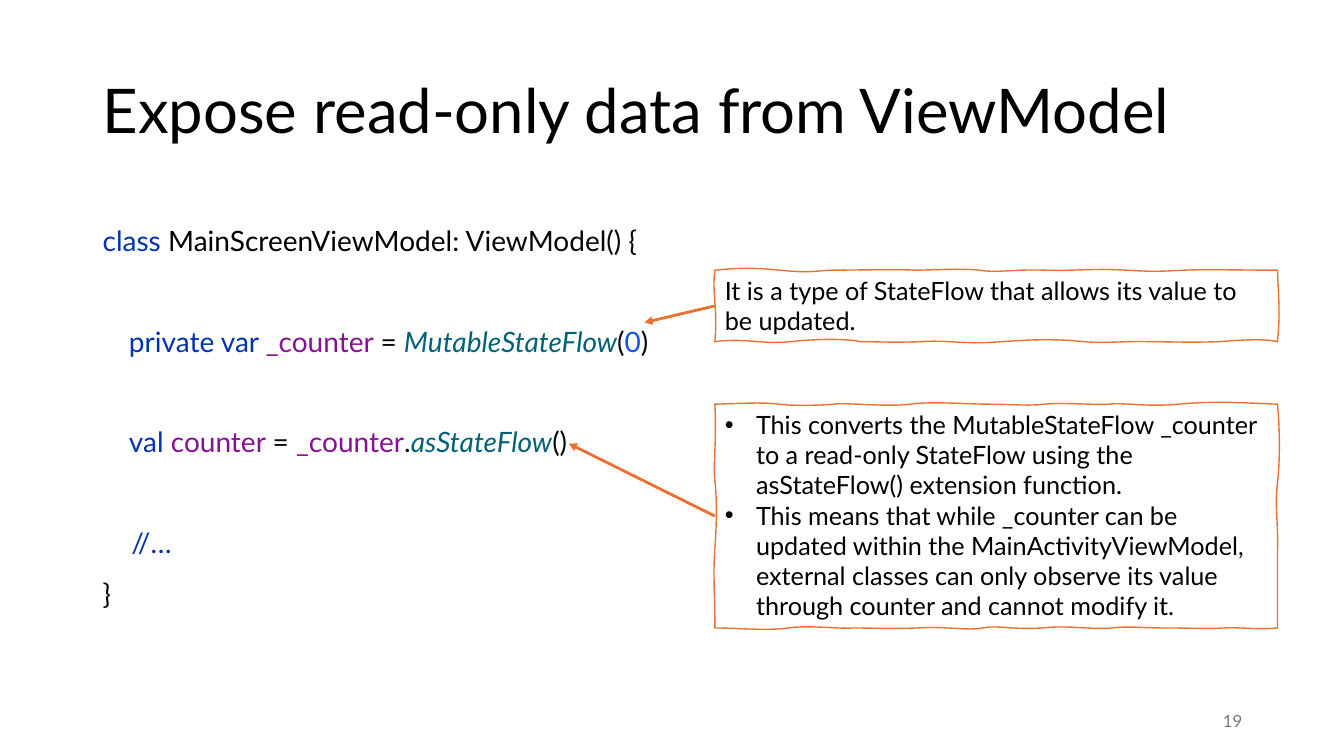
from lxml import etree
from pptx import Presentation
from pptx.dml.color import RGBColor
from pptx.enum.shapes import MSO_CONNECTOR
from pptx.enum.text import MSO_ANCHOR, PP_ALIGN
from pptx.oxml.ns import qn
from pptx.util import Inches, Pt

STRAIGHT = MSO_CONNECTOR.STRAIGHT
TOP, MIDDLE = MSO_ANCHOR.TOP, MSO_ANCHOR.MIDDLE
LEFT, RIGHT = PP_ALIGN.LEFT, PP_ALIGN.RIGHT
FONT = "Lato"
BLACK, ORANGE, GREY = "000000", "E97132", "797979"
KEYWORD, PLAIN, FIELD, CALL = "0033B3", "080808", "871094", "00627A"
NUMBER, INDENT = "1750EB", "8C8C8C"
ITALIC = (CALL, INDENT)
CODE_SIZE, CODE_SPACING = 20, 1.5
CODE_LINE = CODE_SIZE * 1.2 * CODE_SPACING

# Each line: whether an empty line precedes it, then its coloured tokens
CODE = [
    (False, [("class ", KEYWORD), ("MainScreenViewModel", BLACK), (": ViewModel() {", PLAIN)]),
    (True, [("    ", INDENT), ("private var ", KEYWORD), ("_counter ", FIELD), ("= ", PLAIN),
            ("MutableStateFlow", CALL), ("(", PLAIN), ("0", NUMBER), (")", PLAIN)]),
    (True, [("    ", INDENT), ("val ", KEYWORD), ("counter ", FIELD), ("= ", PLAIN),
            ("_counter", FIELD), (".", PLAIN), ("asStateFlow", CALL), ("()", PLAIN)]),
    (True, [("    ", PLAIN), ("//…", KEYWORD)]),
    (False, [("}", PLAIN)]),
]

# Hand-drawn edges in the order top, right, bottom, left. Each curve holds two
# control points (distance along the edge, offset from it) and its end distance.
SHORT_EDGES = [
    [(.23, -.02, .33, -.03, .64), (.96, .03, .94, .01, 1.17), (1.4, 0, 1.82, -.01, 1.98),
     (2.15, 0, 2.44, -.02, 2.62), (2.8, .03, 2.95, -.01, 3.27), (3.58, .01, 3.73, -.02, 4.07),
     (4.42, .02, 4.41, .01, 4.66), (4.91, -.01, 5.14, 0, 5.58)],
    [(.28, .01, .42, .03, .71)],
    [(5.45, -.03, 5.27, -.02, 5), (4.72, .01, 4.46, 0, 4.3), (4.13, -.01, 3.86, .02, 3.66),
     (3.46, -.02, 3.24, -.03, 2.85), (2.45, .03, 2.31, -.02, 2.04), (1.77, .01, 1.6, 0, 1.45),
     (1.3, -.03, 1.04, -.03, .75), (.47, .03, .31, -.04, 0)],
    [(.36, .03, .23, -.03, 0)],
]
TALL_EDGES = [
    [(.29, -.01, .49, -.02, .64), (.79, .02, 1.06, .01, 1.17), (1.28, -.02, 1.7, .03, 1.93),
     (2.15, -.03, 2.5, 0, 2.73), (2.97, 0, 3.11, .02, 3.27), (3.42, -.02, 3.77, .01, 3.91),
     (4.04, -.02, 4.28, .03, 4.6), (4.93, -.03, 5.12, -.02, 5.58)],
    [(.19, .02, .52, .03, .78), (1.04, -.03, 1.15, .01, 1.46), (1.77, 0, 1.93, 0, 2.22)],
    [(5.38, .02, 5.2, -.01, 5.05), (4.9, .01, 4.73, 0, 4.47), (4.2, 0, 4.13, -.02, 3.93),
     (3.74, .02, 3.52, -.03, 3.24), (2.96, .02, 2.8, -.03, 2.65), (2.51, .03, 2.27, -.02, 2.01),
     (1.75, .01, 1.54, 0, 1.37), (1.19, .01, .93, -.03, .73), (.52, .03, .24, 0, 0)],
    [(1.84, 0, 1.7, -.02, 1.43), (1.17, .02, .92, .02, .76), (.6, -.02, .37, .02, 0)],
]


def rgb(colour):
    return RGBColor.from_string(colour)


def style(font, size, colour):
    font.name, font.size, font.color.rgb = FONT, Pt(size), rgb(colour)


def add_text_box(s, box, anchor=TOP):
    tf = s.shapes.add_textbox(*map(Inches, box)).text_frame
    tf.word_wrap = True
    tf.vertical_anchor = anchor
    return tf


def add_label(s, box, text, size, colour, align=LEFT, spacing=1.0):
    p = add_text_box(s, box, MIDDLE).paragraphs[0]
    p.text, p.alignment, p.line_spacing = text, align, spacing
    style(p.runs[0].font, size, colour)


def add_code(s, box):
    tf = add_text_box(s, box)
    for i, (gap, tokens) in enumerate(CODE):
        p = tf.paragraphs[0] if i == 0 else tf.add_paragraph()
        p.line_spacing = CODE_SPACING
        if gap:
            p.space_before = Pt(CODE_LINE)
        for text, colour in tokens:
            r = p.add_run()
            r.text = text
            style(r.font, CODE_SIZE, colour)
            r.font.italic = colour in ITALIC


def sketch_curves(w, h, edges):
    """Point triples (two controls, end) clockwise from the top left, in EMU."""
    curves = []
    for side, edge in enumerate(edges):
        base = (0, w, h, 0)[side]
        for a1, d1, a2, d2, end in edge:
            points = [(a, base + d) for a, d in ((a1, d1), (a2, d2), (end, 0))]
            if side % 2:
                points = [(x, y) for y, x in points]
            curves.append([(Inches(x), Inches(y)) for x, y in points])
    return curves


def add_sketch_box(s, box, edges):
    x, y, w, h = box
    curves = sketch_curves(w, h, edges)
    builder = s.shapes.build_freeform(0, 0)
    builder.add_line_segments([curve[-1] for curve in curves], close=True)
    sp = builder.convert_to_shape(Inches(x), Inches(y))
    # Bend each straight segment into its curve
    for segment, curve in zip(list(sp._element.iter(qn("a:lnTo"))), curves):
        bezier = etree.Element(qn("a:cubicBezTo"))
        for px, py in curve:
            etree.SubElement(bezier, qn("a:pt"), x=str(px), y=str(py))
        segment.getparent().replace(segment, bezier)
    sp.shadow.inherit = False
    sp.fill.background()
    sp.line.color.rgb = rgb(ORANGE)
    sp.line.width = Pt(1)
    return sp


def add_bullet(p):
    pPr = p._p.get_or_add_pPr()
    pPr.set("marL", str(Inches(0.31)))
    pPr.set("indent", str(-Inches(0.31)))
    etree.SubElement(pPr, qn("a:buFont"), typeface="Arial")
    etree.SubElement(pPr, qn("a:buChar"), char="•")


def add_arrow(s, start, end):
    line = s.shapes.add_connector(STRAIGHT, *map(Inches, start + end))
    line.line.color.rgb = rgb(ORANGE)
    line.line.width = Pt(2)
    etree.SubElement(line.line._get_or_add_ln(), qn("a:tailEnd"), type="triangle")
    etree.SubElement(line._element.spPr, qn("a:effectLst"))


def add_note(s, box, edges, texts, target, bulleted=False):
    """Hand-drawn box with text and an arrow from its left side to the target."""
    x, y, w, h = box
    tf = add_sketch_box(s, box, edges).text_frame
    tf.word_wrap = True
    tf.vertical_anchor = TOP
    for i, text in enumerate(texts):
        p = tf.paragraphs[0] if i == 0 else tf.add_paragraph()
        p.text, p.alignment = text, LEFT
        if bulleted:
            add_bullet(p)
        style(p.runs[0].font, 18, BLACK)
    add_arrow(s, (x, y + h / 2), target)


def main():
    prs = Presentation()
    prs.slide_width, prs.slide_height = Inches(13.33), Inches(7.5)
    s = prs.slides.add_slide(prs.slide_layouts[6])
    add_label(s, (0.92, 0.4, 11.5, 1.45), "Expose read-only data from ViewModel",
              44, BLACK, spacing=0.9)
    add_code(s, (0.92, 2, 9.11, 4.09))
    add_note(s, (7.09, 2.68, 5.58, 0.71), SHORT_EDGES,
             ["It is a type of StateFlow that allows its value to be updated."], (6.39, 3.2))
    add_note(s, (7.09, 4.01, 5.58, 2.22), TALL_EDGES,
             ["This converts the MutableStateFlow _counter to a read-only StateFlow using the "
              "asStateFlow() extension function.",
              "This means that while _counter can be updated within the MainActivityViewModel, "
              "external classes can only observe its value through counter and cannot modify it."],
             (5.64, 4.4), bulleted=True)
    add_label(s, (9.42, 6.95, 3, 0.4), "19", 12, GREY, RIGHT)
    prs.save("out.pptx")


if __name__ == "__main__":
    main()
